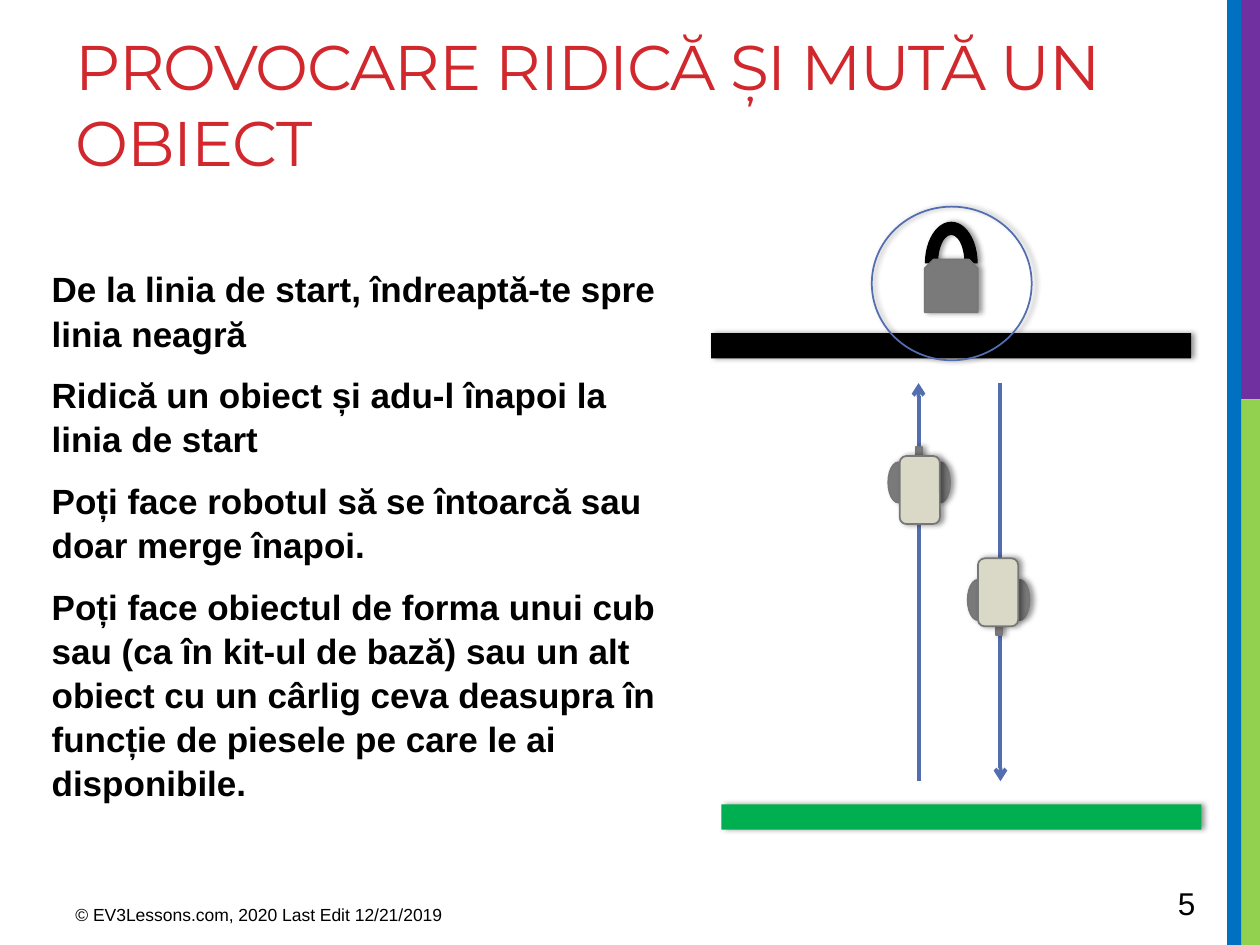
from lxml.etree import SubElement
from pptx import Presentation
from pptx.dml.color import RGBColor
from pptx.enum.shapes import MSO_CONNECTOR as Link, MSO_SHAPE as Shape
from pptx.enum.text import MSO_ANCHOR as Anchor, MSO_AUTO_SIZE as AutoSize, PP_ALIGN as Align
from pptx.oxml.ns import qn
from pptx.util import Pt

BLACK = RGBColor(0x00, 0x00, 0x00)
RED = RGBColor(0xD1, 0x28, 0x2E)
BLUE = RGBColor(0x00, 0x70, 0xC0)
LIME = RGBColor(0x92, 0xD0, 0x50)
PURPLE = RGBColor(0x70, 0x30, 0xA0)
GREEN = RGBColor(0x00, 0xB0, 0x50)
GRAY = RGBColor(0x7A, 0x7A, 0x7A)
EDGE = RGBColor(0x77, 0x77, 0x77)
CREAM = RGBColor(0xDA, 0xD9, 0xC8)
ROUTE = RGBColor(0x52, 0x6D, 0xB0)

TITLE = "PROVOCARE RIDICĂ ȘI MUTĂ UN OBIECT"
STEPS = [
    "De la linia de start, îndreaptă-te spre linia neagră",
    "Ridică un obiect și adu-l înapoi la linia de start",
    "Poți face robotul să se întoarcă sau doar merge înapoi.",
    "Poți face obiectul de forma unui cub sau (ca în kit-ul de bază) sau un alt "
    "obiect cu un cârlig ceva deasupra în funcție de piesele pe care le ai disponibile.",
]
COPYRIGHT = "© EV3Lessons.com, 2020 Last Edit 12/21/2019"
PAGE = "5"

SIDE_BARS = [
    ((701.3, 0, 7.2, 540), BLUE),
    ((708.5, 228.2, 11.5, 311.8), LIME),
    ((705.6, 0, 14.4, 228.2), PURPLE),
    ((702, 0, 7.2, 540), BLUE),
]
COURSE_LINES = [((406.4, 190.4, 274.3, 14.4), BLACK), ((412.2, 459.7, 274.3, 14.4), GREEN)]
SHACKLE = (528.5, 126.7, 30.2, 47.5)
LOCK_BODY = (528.5, 148.3, 30.2, 30.2)
TARGET_RING = (498.2, 118.1, 91.4, 87.8)
ROUTE_TOP, ROUTE_BOTTOM = 218.9, 446.4
ROUTES = [(524.9, ROUTE_BOTTOM, ROUTE_TOP), (571.7, ROUTE_TOP, ROUTE_BOTTOM)]
ROBOT_PARTS = [
    (Shape.OVAL, (0, 8.6, 11.5, 23), GRAY),
    (Shape.OVAL, (23.8, 8.6, 11.5, 23), GRAY),
    (Shape.RECTANGLE, (15.8, 0, 3.6, 10.1), GRAY),
    (Shape.ROUNDED_RECTANGLE, (6.5, 5, 23, 38.9), CREAM),
]
ROBOTS = [(507.6, 255.6, 0), (553, 319, 180)]


def points(box):
    return [Pt(length) for length in box]


def write(holder, paragraphs, *, box, size, font="Arial", color=BLACK, bold=False,
          before=0, after=0, leading=1.0, tracking=0, anchor=Anchor.TOP):
    holder.left, holder.top, holder.width, holder.height = points(box)
    frame = holder.text_frame
    frame.word_wrap = True
    frame.auto_size = AutoSize.NONE
    frame.vertical_anchor = anchor
    for index, text in enumerate(paragraphs):
        paragraph = frame.paragraphs[0] if index == 0 else frame.add_paragraph()
        paragraph.alignment = Align.LEFT
        paragraph.line_spacing = leading
        paragraph.space_before = Pt(before if index else 0)
        paragraph.space_after = Pt(after)
        properties = paragraph._p.get_or_add_pPr()
        properties.set("marL", "0")
        properties.set("indent", "0")
        SubElement(properties, qn("a:buNone"))
        run = paragraph.add_run()
        run.text = text
        run.font.name, run.font.size, run.font.bold = font, Pt(size), bold
        run.font.color.rgb = color
        if tracking:
            run._r.get_or_add_rPr().set("spc", str(round(tracking * 100)))


def add_shadow(shape):
    effects = shape._element.spPr.find(qn("a:effectLst"))
    shadow = SubElement(effects, qn("a:outerShdw"), blurRad=str(Pt(3.1)),
                        dist=str(Pt(1.8)), dir="0", algn="ctr", rotWithShape="0")
    tint = SubElement(shadow, qn("a:srgbClr"), val=str(BLACK))
    SubElement(tint, qn("a:alpha"), val="40000")


def draw(parent, kind, box, fill=None, line=None, shadow=True):
    shape = parent.add_shape(kind, *points(box))
    shape.shadow.inherit = False
    if fill is None:
        shape.fill.background()
    else:
        shape.fill.solid()
        shape.fill.fore_color.rgb = fill
    if line is None:
        shape.line.fill.background()
    else:
        shape.line.color.rgb = line
        shape.line.width = Pt(1)
    if shadow:
        add_shadow(shape)


def draw_route(parent, x, start, end):
    route = parent.add_connector(Link.STRAIGHT, *points((x, start, x, end)))
    route.line.color.rgb = ROUTE
    route.line.width = Pt(2.25)
    SubElement(route.line._get_or_add_ln(), qn("a:tailEnd"), type="arrow")
    SubElement(route._element.spPr, qn("a:effectLst"))


def draw_robot(parent, left, top, rotation):
    robot = parent.add_group_shape()
    for kind, (x, y, width, height), fill in ROBOT_PARTS:
        draw(robot.shapes, kind, (left + x, top + y, width, height), fill, EDGE)
    robot.rotation = rotation


def main():
    deck = Presentation()
    deck.slide_width, deck.slide_height = Pt(720), Pt(540)
    slide = deck.slides.add_slide(deck.slide_layouts[1])
    shapes = slide.shapes

    for box, color in SIDE_BARS:
        draw(shapes, Shape.RECTANGLE, box, color, shadow=False)

    write(shapes.title, [TITLE], box=(36, 12.2, 649.4, 108), size=36,
          font="Montserrat", color=RED, tracking=-0.6)
    write(slide.placeholders[1], STEPS, box=(22.3, 148.3, 372.2, 314.6), size=20,
          bold=True, before=4, after=6, leading=1.05)
    for text, box, size in [(COPYRIGHT, (36, 511.2, 270, 22.3), 10),
                            (PAGE, (666, 501.8, 49.7, 28.8), 18)]:
        write(shapes.add_textbox(*points(box)), [text], box=box, size=size,
              anchor=Anchor.MIDDLE)

    for box, color in COURSE_LINES:
        draw(shapes, Shape.RECTANGLE, box, color)
    draw(shapes, Shape.BLOCK_ARC, SHACKLE, BLACK)
    draw(shapes, Shape.SNIP_2_SAME_RECTANGLE, LOCK_BODY, GRAY, EDGE)
    for route in ROUTES:
        draw_route(shapes, *route)
    draw(shapes, Shape.OVAL, TARGET_RING, line=ROUTE)
    for robot in ROBOTS:
        draw_robot(shapes, *robot)

    deck.save("out.pptx")


if __name__ == "__main__":
    main()
